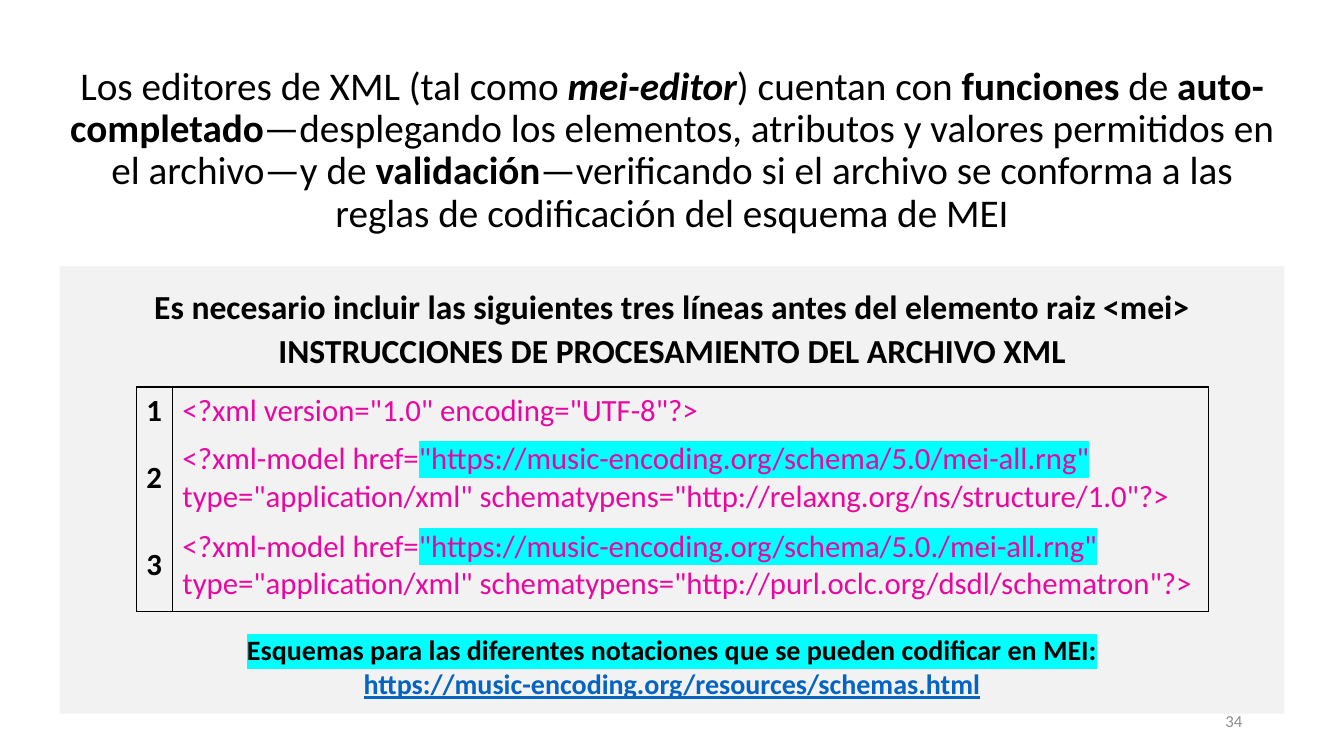
from lxml import etree
from pptx import Presentation
from pptx import util as u
from pptx.dml.color import RGBColor
from pptx.enum import shapes, text
from pptx.oxml.ns import qn

BLACK, GREY, PANEL = "000000", "8C8C8C", "F2F2F2"
MAGENTA, LINK, CYAN = "E808A1", "0563C1", "00FFFF"
CENTER, LEFT, RIGHT = text.PP_ALIGN.CENTER, text.PP_ALIGN.LEFT, text.PP_ALIGN.RIGHT
TOP, MIDDLE = text.MSO_ANCHOR.TOP, text.MSO_ANCHOR.MIDDLE


def rgb(value):
    return RGBColor.from_string(value)


def add_solid_fill(parent, color):
    fill = etree.SubElement(parent, qn("a:solidFill"))
    etree.SubElement(fill, qn("a:srgbClr"), val=color)


class SlideBuilder:
    font = "Calibri"

    def __init__(self, slide):
        self.slide = slide

    def set_text(self, frame, paragraphs, size, align=CENTER, color=BLACK, bold=False):
        """Fill a frame with paragraphs, each a list of (wording, style changes)."""
        frame.word_wrap = True
        for index, pieces in enumerate(paragraphs):
            paragraph = frame.paragraphs[0] if index == 0 else frame.add_paragraph()
            paragraph.alignment = align
            for wording, style in pieces:
                run = paragraph.add_run()
                run.text = wording
                font = run.font
                font.name, font.size = self.font, u.Pt(size)
                font.bold = style.get("bold", bold)
                font.italic = style.get("italic", False)
                font.underline = style.get("underline", False)
                font.color.rgb = rgb(style.get("color", color))
                if "highlight" in style:
                    self.highlight(run, style["highlight"])

    def highlight(self, run, color):
        properties = run.font._element
        mark = etree.Element(qn("a:highlight"))
        etree.SubElement(mark, qn("a:srgbClr"), val=color)
        properties.find(qn("a:solidFill")).addnext(mark)

    def textbox(self, place, paragraphs, size, anchor=TOP, **style):
        frame = self.slide.shapes.add_textbox(*map(u.Inches, place)).text_frame
        frame.vertical_anchor = anchor
        self.set_text(frame, paragraphs, size, **style)
        return frame

    def panel(self, place, paragraphs, size, **style):
        panel = self.slide.shapes.add_shape(
            shapes.MSO_SHAPE.RECTANGLE, *map(u.Inches, place))
        panel.shadow.inherit = False
        panel.fill.solid()
        panel.fill.fore_color.rgb = rgb(PANEL)
        panel.line.fill.background()
        panel.text_frame.vertical_anchor = TOP
        self.set_text(panel.text_frame, paragraphs, size, **style)
        return panel.text_frame

    def borders(self, cell, drawn):
        """Draw the named sides of a cell and clear the others."""
        properties = cell._tc.get_or_add_tcPr()
        for position, side in enumerate("LRTB"):
            line = etree.Element(qn("a:ln" + side), w=str(u.Pt(1)))
            if side in drawn:
                add_solid_fill(line, BLACK)
            else:
                etree.SubElement(line, qn("a:noFill"))
            properties.insert(position, line)

    def numbered_table(self, left, top, widths, heights, instructions, size):
        """Number each instruction, with an outer frame and a rule between columns."""
        table = self.slide.shapes.add_table(
            len(heights), len(widths), u.Inches(left), u.Inches(top),
            u.Inches(sum(widths)), u.Inches(sum(heights))).table
        table.first_row = table.horz_banding = False
        for column, width in zip(table.columns, widths):
            column.width = u.Inches(width)
        for index, (height, instruction) in enumerate(zip(heights, instructions)):
            table.rows[index].height = u.Inches(height)
            number, code = table.cell(index, 0), table.cell(index, 1)
            self.set_text(number.text_frame, [[(str(index + 1), {})]], size, bold=True)
            self.set_text(code.text_frame, [instruction], size, LEFT, MAGENTA)
            edges = "LR" + "T" * (index == 0) + "B" * (index == len(heights) - 1)
            for cell in (number, code):
                cell.vertical_anchor = MIDDLE
                cell.fill.background()
                self.borders(cell, edges)


def model_instruction(schema, language):
    return [("<?xml-model href=", {}),
            (f'"{schema}" ', {"highlight": CYAN}),
            (f'type="application/xml" schematypens="{language}"?>', {})]


def main():
    deck = Presentation()
    deck.slide_width, deck.slide_height = u.Inches(13.33), u.Inches(7.5)
    page = SlideBuilder(deck.slides.add_slide(deck.slide_layouts[6]))
    left, width = 0.59, 12.15
    strong = {"bold": True}

    heading = page.panel((left, 2.64, width, 4.44), [
        [("Es necesario incluir las siguientes tres líneas antes del elemento raiz <mei>", {})],
        [("INSTRUCCIONES DE PROCESAMIENTO DEL ARCHIVO XML", {})],
    ], 24, bold=True)
    heading.margin_top = u.Inches(0.2)
    heading.paragraphs[1].space_before = u.Pt(2.4)

    page.textbox((left, 6.23, width, 0.78), [
        [("Esquemas para las diferentes notaciones que se pueden codificar en MEI:",
          {"highlight": CYAN})],
        [("https://music-encoding.org/resources/schemas.html",
          {"color": LINK, "underline": True})],
    ], 20, bold=True)

    page.textbox((9.42, 6.95, 3, 0.4), [[("34", {})]], 12, MIDDLE,
                 align=RIGHT, color=GREY)

    schemas = "https://music-encoding.org/schema/"
    page.numbered_table(1.35, 3.84, [0.36, 10.28], [0.48, 0.82, 0.91], [
        [('<?xml version="1.0" encoding="UTF-8"?>', {})],
        model_instruction(schemas + "5.0/mei-all.rng",
                          "http://relaxng.org/ns/structure/1.0"),
        model_instruction(schemas + "5.0./mei-all.rng",
                          "http://purl.oclc.org/dsdl/schematron"),
    ], 22)

    title = page.textbox((left, 0.61, width, 2.03), [[
        ("Los editores de XML (tal como ", {}),
        ("mei-editor", {"bold": True, "italic": True}),
        (") cuentan con ", {}),
        ("funciones ", strong),
        ("de", {}),
        (" auto-completado", strong),
        ("—desplegando los elementos, atributos y valores permitidos en el archivo—y de ", {}),
        ("validación", strong),
        ("—verificando si el archivo se conforma a las reglas de codificación "
         "del esquema de MEI", {}),
    ]], 28)
    title.paragraphs[0].line_spacing = 0.9

    deck.save("out.pptx")


if __name__ == "__main__":
    main()
